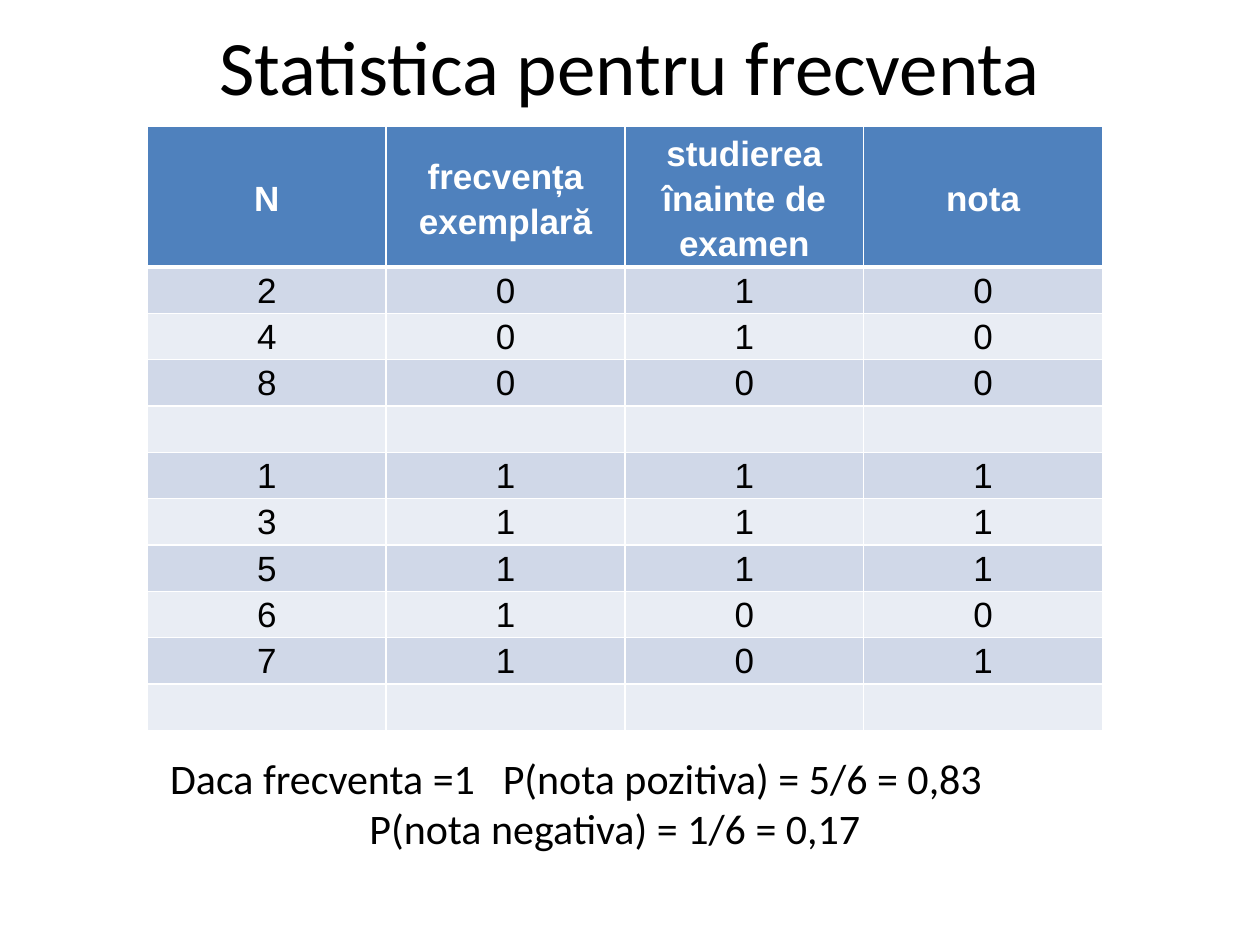
import pptx
import pptx.util
import pptx.dml.color
import pptx.enum.text
import pptx.oxml
import pptx.oxml.ns
from pptx.util import Inches

COLORS = {"text": "000000", "white": "FFFFFF", "header": "4F81BD",
          "odd": "D0D8E8", "even": "E9EDF4"}
HEADERS = ["N", "frecvența exemplară", "studierea înainte de examen", "nota"]
ROWS = ["2010", "4010", "8000", "", "1111", "3111", "5111", "6100", "7101", ""]
ALIGN = pptx.enum.text.PP_ALIGN
MIDDLE = pptx.enum.text.MSO_ANCHOR.MIDDLE


def rgb(name):
    return pptx.dml.color.RGBColor.from_string(COLORS[name])


def format_runs(p, size, font, color="text", bold=False):
    for r in p.runs:
        r.font.size = pptx.util.Pt(size)
        r.font.name = font
        r.font.bold = bold
        r.font.color.rgb = rgb(color)


def add_title(s, left, top, width, height):
    sp = s.shapes.title
    sp.left, sp.top, sp.width, sp.height = left, top, width, height
    tf = sp.text_frame
    tf.text = "Statistica pentru frecventa"
    tf.vertical_anchor = MIDDLE
    p = tf.paragraphs[0]
    p.alignment = ALIGN.CENTER
    format_runs(p, 44, "Calibri")


def set_borders(cell, bottom):
    tc_pr = cell._tc.get_or_add_tcPr()
    for i, side in enumerate("LRTB"):
        width = pptx.util.Pt(bottom if side == "B" else 1)
        ln = pptx.oxml.parse_xml(
            f'<a:ln{side} {pptx.oxml.ns.nsdecls("a")} w="{int(width)}">'
            f'<a:solidFill><a:srgbClr val="{COLORS["white"]}"/></a:solidFill>'
            f'</a:ln{side}>')
        tc_pr.insert(i, ln)


def fill_cell(cell, text, fill, header):
    cell.fill.solid()
    cell.fill.fore_color.rgb = rgb(fill)
    cell.vertical_anchor = MIDDLE
    cell.margin_left = cell.margin_right = Inches(0.07 if header else 0.01)
    cell.margin_top = Inches(0 if header else 0.01)
    cell.margin_bottom = 0
    cell.text_frame.text = text
    p = cell.text_frame.paragraphs[0]
    p.alignment = ALIGN.CENTER
    if header:
        p.line_spacing = 1.15
        p.space_after = pptx.util.Pt(10)
    format_runs(p, 20, "Arial", "white" if header else "text", header)
    set_borders(cell, 3 if header else 1)


def add_attendance_table(s, left, top, width, height):
    rows = [HEADERS] + [list(row) or [""] * len(HEADERS) for row in ROWS]
    table = s.shapes.add_table(len(rows), len(HEADERS),
                               left, top, width, height).table
    header_height = Inches(1.12)
    for i, row in enumerate(rows):
        header = i == 0
        table.rows[i].height = (header_height if header
                                else (height - header_height) // len(ROWS))
        fill = "header" if header else "odd" if i % 2 else "even"
        for j, text in enumerate(row):
            fill_cell(table.cell(i, j), text, fill, header)


def add_probabilities(s, left, top, width, height):
    tf = s.shapes.add_textbox(left, top, width, height).text_frame
    tf.word_wrap = True
    tf.margin_left = tf.margin_right = Inches(1.18)
    p = tf.paragraphs[0]
    p.text = "Daca frecventa =1\tP(nota pozitiva) = 5/6 = 0,83"
    p.alignment = ALIGN.LEFT
    tabs = pptx.oxml.parse_xml(
        f'<a:tabLst {pptx.oxml.ns.nsdecls("a")}>'
        f'<a:tab pos="{int(Inches(2.64))}" algn="l"/></a:tabLst>')
    p._p.get_or_add_pPr().append(tabs)
    p = tf.add_paragraph()
    p.text = "P(nota negativa) = 1/6 = 0,17"
    p.alignment = ALIGN.CENTER
    for p in tf.paragraphs:
        format_runs(p, 24, "Calibri")


def main():
    prs = pptx.Presentation()
    prs.slide_width, prs.slide_height = Inches(10), Inches(7.5)
    s = prs.slides.add_slide(prs.slide_layouts[5])
    add_title(s, Inches(0.5), Inches(0.08), Inches(9), Inches(0.87))
    add_attendance_table(s, Inches(1.17), Inches(1), Inches(7.58), Inches(4.8))
    add_probabilities(s, Inches(0.17), Inches(5.92), Inches(9.42), Inches(0.91))
    prs.save("out.pptx")


if __name__ == "__main__":
    main()
